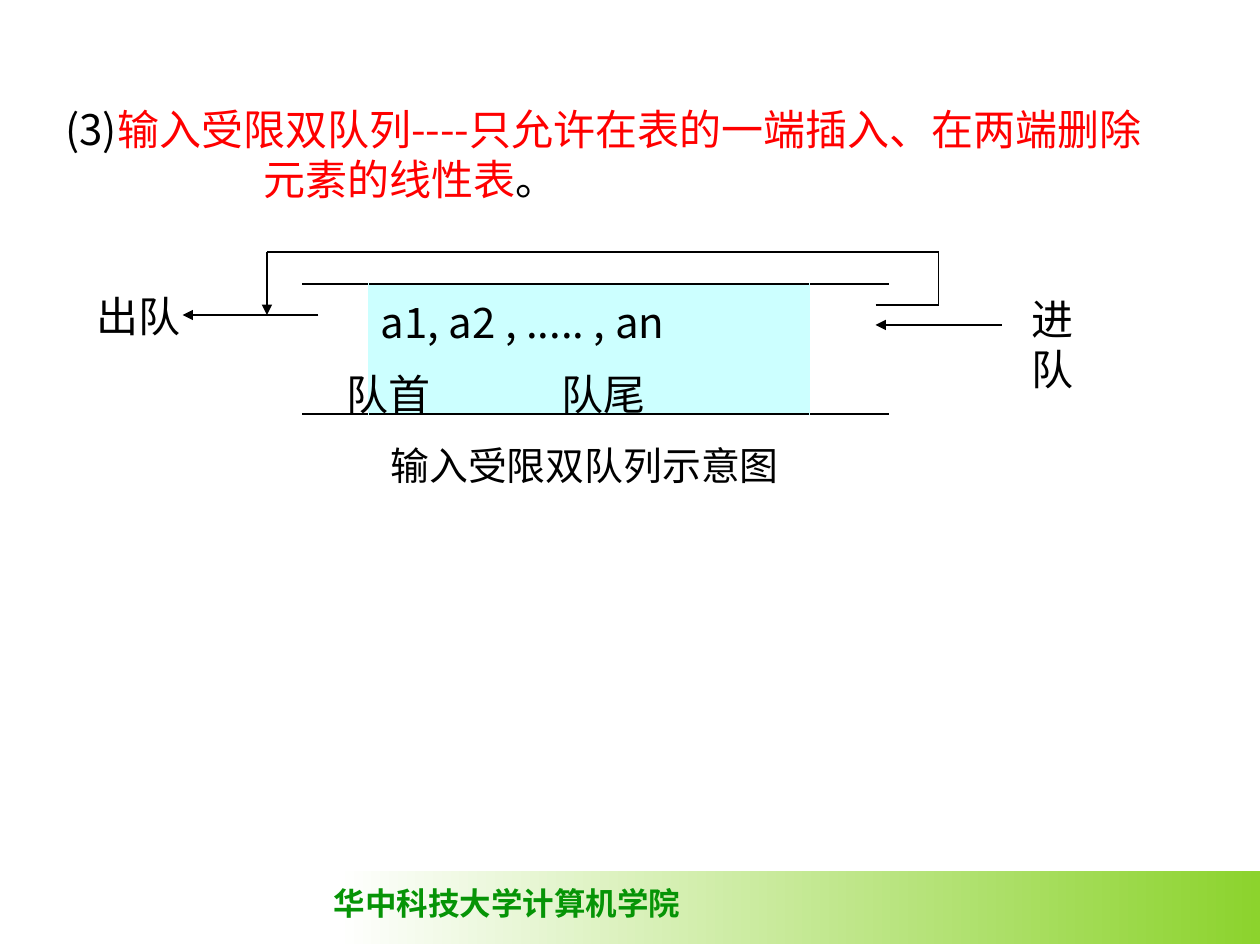
from pptx import Presentation
from pptx.dml.color import RGBColor
from pptx.enum.shapes import MSO_CONNECTOR as CONN, MSO_SHAPE as SHAPE
from pptx.oxml import parse_xml
from pptx.oxml.ns import nsdecls, qn
from pptx.util import Cm, Pt
from lxml import etree

CJK = "Noto Sans CJK SC"
BLACK, RED, CYAN, WHITE = "000000", "FF0000", "CCFFFF", "FFFFFF"


def rgb(value):
    return RGBColor.from_string(value)


def style(r, size=24, color=BLACK, font=CJK, bold=False):
    r.font.size = Pt(size)
    r.font.name = font
    r.font.bold = bold
    r.font.color.rgb = rgb(color)
    etree.SubElement(r._r.get_or_add_rPr(), qn("a:ea")).set("typeface", CJK)


def add_text(s, x, y, w, h, text, wrap=True, spacing=None, **look):
    tf = s.shapes.add_textbox(Cm(x), Cm(y), Cm(w), Cm(h)).text_frame
    tf.word_wrap = wrap
    p = tf.paragraphs[0]
    p.text = text
    p.line_spacing = spacing
    for r in p.runs:
        style(r, **look)
    return tf


def add_line(s, x1, y1, x2, y2, arrow=False):
    c = s.shapes.add_connector(CONN.STRAIGHT, Cm(x1), Cm(y1), Cm(x2), Cm(y2))
    c.line.width = Pt(0.75)
    c.line.color.rgb = rgb(BLACK)
    if arrow:
        ln = c.line._get_or_add_ln()
        etree.SubElement(ln, qn("a:tailEnd")).set("type", "triangle")
    etree.SubElement(c._element.spPr, qn("a:effectLst"))


def set_border(cell, side, color, width):
    cell._tc.get_or_add_tcPr().append(parse_xml(
        f'<a:ln{side} {nsdecls("a")} w="{Pt(width)}"><a:solidFill>'
        f'<a:srgbClr val="{color}"/></a:solidFill></a:ln{side}>'))


def add_footer(s, x, y, w, h):
    sp = s.shapes.add_shape(SHAPE.RECTANGLE, Cm(x), Cm(y), Cm(w), Cm(h))
    sp.shadow.inherit = False
    sp.line.fill.background()
    sp.fill.gradient()
    sp.fill.gradient_angle = 0
    for stop, color, pos in zip(sp.fill.gradient_stops, (WHITE, "8CD32D"), (0, 1)):
        stop.color.rgb = rgb(color)
        stop.position = pos
    add_text(s, x - 0.3, y + 0.15, 7.49, 1.02, "华中科技大学计算机学院", wrap=False,
             size=18, color="069406", font="Times New Roman", bold=True)


def add_definition(s, x, y, w, h):
    tf = add_text(s, x, y, w, h, "(3)")
    p = tf.paragraphs[0]
    r = p.add_run()
    r.text = "输入受限双队列----只允许在表的一端插入、在两端删除"
    style(r, color=RED)
    p = tf.add_paragraph()
    p._p.get_or_add_pPr().set("marL", str(Cm(4)))
    for text, color in (("元素的线性表", RED), ("。", BLACK)):
        r = p.add_run()
        r.text = text
        style(r, color=color)


def add_queue(s, x, y, widths, h):
    frame = s.shapes.add_table(1, len(widths), Cm(x), Cm(y), Cm(sum(widths)), Cm(h))
    table = frame.table
    table.first_row = table.horz_banding = False
    table.rows[0].height = Cm(h)
    last = len(widths) - 1
    for i, w in enumerate(widths):
        table.columns[i].width = Cm(w)
        cell = table.cell(0, i)
        if i > 0:
            set_border(cell, "L", CYAN, 0.45)
        if i < last:
            set_border(cell, "R", CYAN, 0.45)
        for side in "TB":
            set_border(cell, side, BLACK, 1.08)
        cell.fill.solid()
        cell.fill.fore_color.rgb = rgb(CYAN if i == 1 else WHITE)
    p = table.cell(0, 1).text_frame.paragraphs[0]
    p.text = "a1, a2 , ..... , an"
    style(p.runs[0])


def add_diagram(s, x, y):
    add_queue(s, x + 4.37, y + 0.64, (1.35, 8.89, 1.63), 2.62)
    add_text(s, x, y + 0.66, 2.41, 1.27, "出队")
    add_text(s, x + 18.85, y + 0.71, 2.18, 1.27, "进队", wrap=False)

    left, right, mouth = x + 3.68, x + 17.22, x + 15.95
    add_line(s, x + 18.49, y + 1.47, mouth, y + 1.47, arrow=True)
    add_line(s, x + 4.72, y + 1.27, x + 1.98, y + 1.27, arrow=True)
    add_line(s, mouth, y + 1.07, right, y + 1.07)
    add_line(s, right, y, right, y + 1.07)
    add_line(s, left, y, right, y)
    add_line(s, left, y, left, y + 1.27, arrow=True)

    tf = add_text(s, x + 5.03, y + 2.34, 10.6, 1.17, "队首\t队尾", spacing=0.9)
    pPr = tf.paragraphs[0]._p.get_or_add_pPr()
    tabs = etree.SubElement(pPr, qn("a:tabLst"))
    tab = etree.SubElement(tabs, qn("a:tab"))
    tab.set("pos", str(Cm(4.34)))
    tab.set("algn", "l")
    add_text(s, x + 5.92, y + 3.81, 9.73, 1.27, "输入受限双队列示意图",
             spacing=0.9, size=22.2)


def main():
    prs = Presentation()
    prs.slide_width, prs.slide_height = Cm(25.4), Cm(19.05)
    s = prs.slides.add_slide(prs.slide_layouts[6])
    add_footer(s, 6.78, 17.55, 18.62, 1.48)
    add_definition(s, 1.07, 1.96, 23.06, 2.29)
    add_diagram(s, 1.7, 5.08)
    prs.save("out.pptx")


if __name__ == "__main__":
    main()
